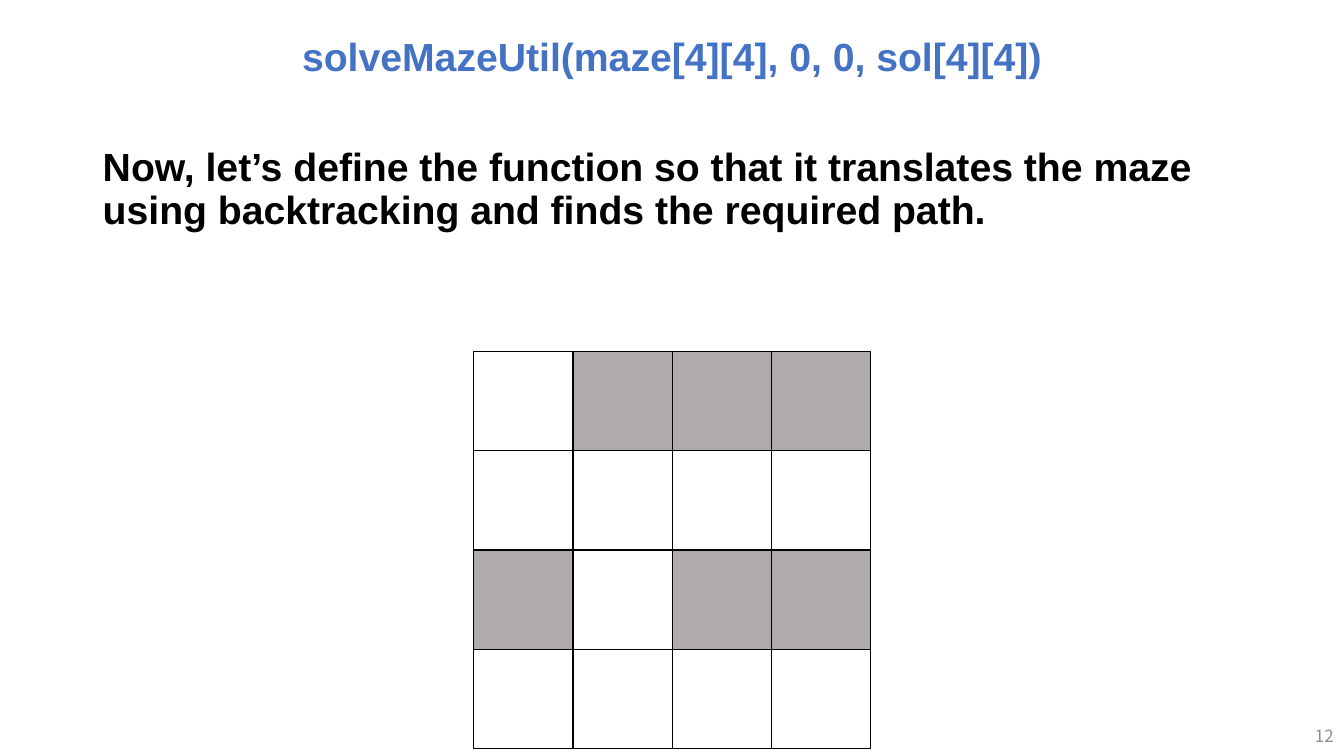
from lxml.etree import SubElement
from pptx import Presentation
from pptx.dml.color import RGBColor
from pptx.enum.text import MSO_ANCHOR as Anchor, MSO_AUTO_SIZE as AutoSize, PP_ALIGN as Align
from pptx.oxml.ns import qn
from pptx.util import Cm, Pt

BLACK, WHITE, BLUE, GRAY, WALL = "000000", "FFFFFF", "4472C4", "8C8C8C", "AFABAB"
MAZE = ["1000", "1111", "0100", "1111"]  # 1 is open, 0 is a wall


def color(value):
    return RGBColor.from_string(value)


def write_text(shape, text, size=28, font="Arial", ink=BLACK, bold=True,
               align=Align.LEFT, anchor=Anchor.TOP, spacing=0.9):
    frame = shape.text_frame
    frame.word_wrap = True
    frame.auto_size = AutoSize.NONE
    frame.vertical_anchor = anchor
    paragraph = frame.paragraphs[0]
    paragraph.alignment = align
    paragraph.line_spacing = spacing
    paragraph.space_before = Pt(0)
    run = paragraph.add_run()
    run.text = text
    run.font.size = Pt(size)
    run.font.name = font
    run.font.bold = bold
    run.font.color.rgb = color(ink)


def add_title(slide, left, top, width, height, text):
    title = slide.shapes.title
    title.left, title.top, title.width, title.height = left, top, width, height
    write_text(title, text, ink=BLUE, align=Align.CENTER)


def add_text(slide, left, top, width, height, text, **text_format):
    box = slide.shapes.add_textbox(left, top, width, height)
    write_text(box, text, **text_format)


def draw_borders(cell, ink=BLACK, width=Pt(1)):
    properties = cell._tc.get_or_add_tcPr()
    for side in ("lnL", "lnR", "lnT", "lnB"):
        line = SubElement(properties, qn(f"a:{side}"), w=str(width))
        fill = SubElement(line, qn("a:solidFill"))
        SubElement(fill, qn("a:srgbClr"), val=ink)


def add_maze(slide, left, top, size, maze):
    frame = slide.shapes.add_table(len(maze), len(maze[0]), left, top, size, size)
    table = frame.table
    table.first_row = table.horz_banding = False
    for row_index, row in enumerate(maze):
        for column_index, state in enumerate(row):
            cell = table.cell(row_index, column_index)
            draw_borders(cell)
            cell.fill.solid()
            cell.fill.fore_color.rgb = color(WHITE if state == "1" else WALL)


def build_maze_slide(presentation):
    slide = presentation.slides.add_slide(presentation.slide_layouts[5])
    add_title(slide, Cm(6.63), Cm(0.81), Cm(20.6), Cm(1.35),
              "solveMazeUtil(maze[4][4], 0, 0, sol[4][4])")
    add_text(slide, Cm(2.34), Cm(3.6), Cm(29.2), Cm(2.8),
             "Now, let’s define the function so that it translates the maze "
             "using backtracking and finds the required path.")
    add_maze(slide, Cm(11.94), Cm(8.86), Cm(10), MAZE)
    add_text(slide, Cm(26.24), Cm(18.03), Cm(7.62), Cm(1.02), "12", size=12,
             font="Noto Sans CJK KR", ink=GRAY, bold=False,
             align=Align.RIGHT, anchor=Anchor.MIDDLE, spacing=1.0)


def main():
    presentation = Presentation()
    presentation.slide_width = Cm(33.87)
    presentation.slide_height = Cm(19.05)
    build_maze_slide(presentation)
    presentation.save("out.pptx")


if __name__ == "__main__":
    main()
